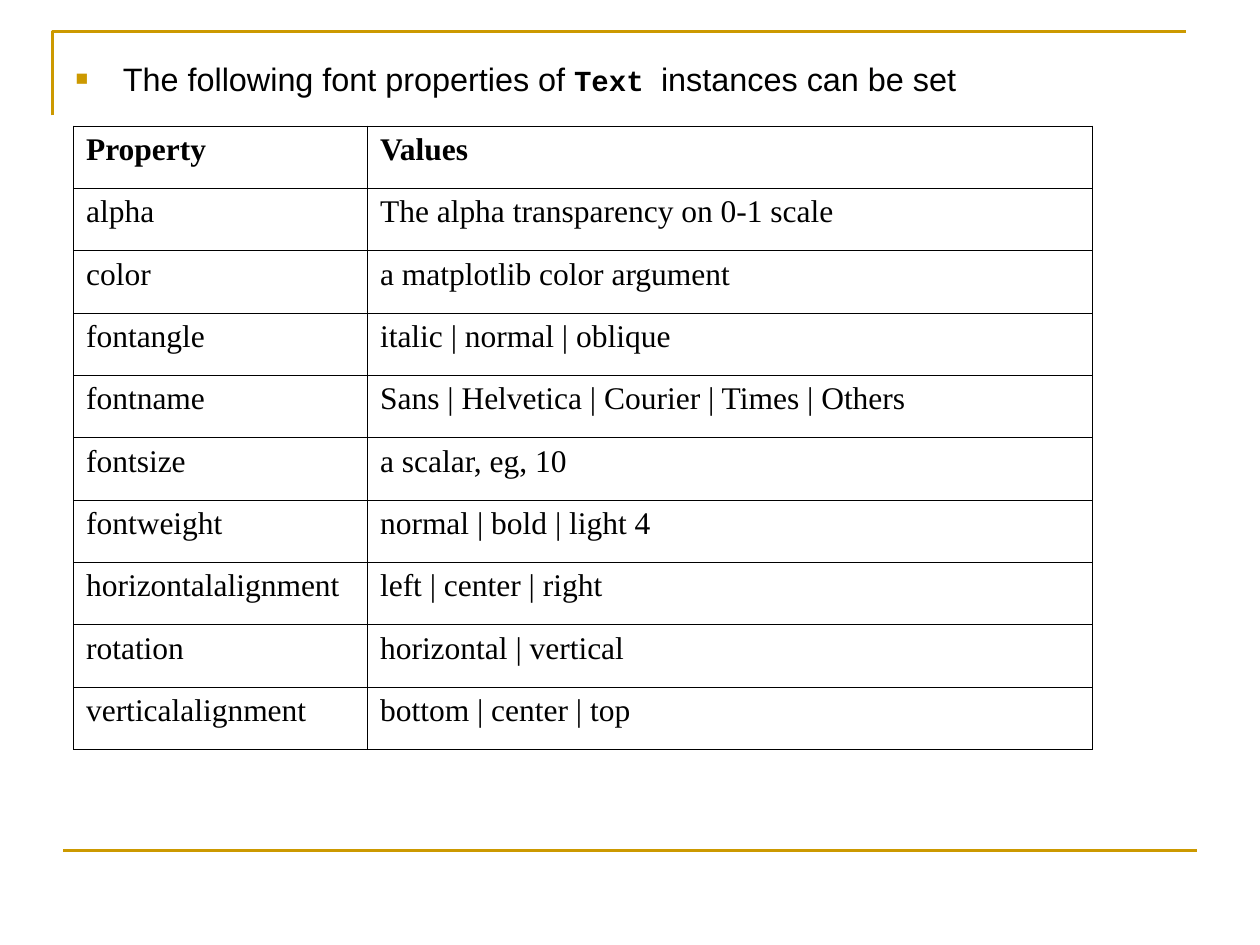
from dataclasses import dataclass

from lxml.etree import SubElement
from pptx import Presentation
from pptx.dml.color import RGBColor
from pptx.enum.shapes import MSO_CONNECTOR
from pptx.enum.text import MSO_ANCHOR, MSO_AUTO_SIZE
from pptx.oxml import parse_xml
from pptx.oxml.ns import nsdecls, qn
from pptx.util import Pt


@dataclass(frozen=True)
class Theme:
    accent: str = "CC9900"
    ink: str = "000000"
    paper: str = "FFFFFF"
    body_font: str = "Arial"
    code_font: str = "Courier New"
    table_font: str = "Times New Roman"
    body_size: float = 18.5
    code_size: float = 16.6
    table_size: float = 18
    rule: float = 1.5
    border: float = 0.45
    indent: float = 27


theme = Theme()


def add_text(p, text, font=theme.body_font, size=theme.body_size, bold=False):
    r = p.add_run()
    r.text = text
    r.font.name = font
    r.font.size = Pt(size)
    r.font.bold = bold
    r.font.color.rgb = RGBColor.from_string(theme.ink)


def set_hanging_indent(p):
    pPr = p._p.get_or_add_pPr()
    pPr.set("marL", str(Pt(theme.indent)))
    pPr.set("indent", str(-Pt(theme.indent)))
    return pPr


prs = Presentation()
prs.slide_width, prs.slide_height = Pt(720), Pt(540)
s = prs.slides.add_slide(prs.slide_layouts[1])
title, body = s.placeholders
title._element.getparent().remove(title._element)

builder = s.shapes.build_freeform(Pt(30), Pt(66))
builder.add_line_segments([(Pt(30), Pt(18)), (Pt(678), Pt(18))], close=False)
corner = builder.convert_to_shape()
corner.shadow.inherit = False
corner.fill.background()

footer = s.shapes.add_connector(MSO_CONNECTOR.STRAIGHT, Pt(36), Pt(486), Pt(684), Pt(486))
SubElement(footer._element.spPr, qn("a:effectLst"))

for sp in (corner, footer):
    sp.line.color.rgb = RGBColor.from_string(theme.accent)
    sp.line.width = Pt(theme.rule)

s.shapes._spTree.append(body._element)
body.left, body.top, body.width, body.height = Pt(36), Pt(30), Pt(642), Pt(30)
tf = body.text_frame
tf.auto_size = MSO_AUTO_SIZE.NONE
tf.vertical_anchor = MSO_ANCHOR.MIDDLE
p = tf.paragraphs[0]
p.space_before = Pt(0)
pPr = set_hanging_indent(p)
for xml in (
    f'<a:buClr {nsdecls("a")}><a:srgbClr val="{theme.accent}"/></a:buClr>',
    f'<a:buSzPct {nsdecls("a")} val="65000"/>',
    f'<a:buFont {nsdecls("a")} typeface="{theme.body_font}"/>',
    f'<a:buChar {nsdecls("a")} char="■"/>',
):
    pPr.append(parse_xml(xml))
add_text(p, "The following font properties of ")
add_text(p, "Text ", font=theme.code_font, size=theme.code_size, bold=True)
add_text(p, "instances can be set")

rows = [
    ("Property", "Values"),
    ("alpha", "The alpha transparency on 0-1 scale"),
    ("color", "a matplotlib color argument"),
    ("fontangle", "italic | normal | oblique"),
    ("fontname", "Sans | Helvetica | Courier | Times | Others"),
    ("fontsize", "a scalar, eg, 10"),
    ("fontweight", "normal | bold | light 4"),
    ("horizontalalignment", "left | center | right"),
    ("rotation", "horizontal | vertical"),
    ("verticalalignment", "bottom | center | top"),
]
col_widths = (168, 414)
row_height = 35.65
table = s.shapes.add_table(
    len(rows), len(col_widths), Pt(42), Pt(72), Pt(sum(col_widths)), Pt(row_height * len(rows))
).table
table.first_row = table.horz_banding = False
for col, width in zip(table.columns, col_widths):
    col.width = Pt(width)

for i, row in enumerate(rows):
    table.rows[i].height = Pt(row_height)
    for j, text in enumerate(row):
        cell = table.cell(i, j)
        cell.fill.solid()
        cell.fill.fore_color.rgb = RGBColor.from_string(theme.paper)
        tcPr = cell._tc.get_or_add_tcPr()
        for k, side in enumerate(("lnL", "lnR", "lnT", "lnB")):
            tcPr.insert(k, parse_xml(
                f'<a:{side} {nsdecls("a")} w="{Pt(theme.border)}"><a:solidFill>'
                f'<a:srgbClr val="{theme.ink}"/></a:solidFill></a:{side}>'
            ))
        p = cell.text_frame.paragraphs[0]
        set_hanging_indent(p)
        add_text(p, text, font=theme.table_font, size=theme.table_size, bold=i == 0)

prs.save("out.pptx")
